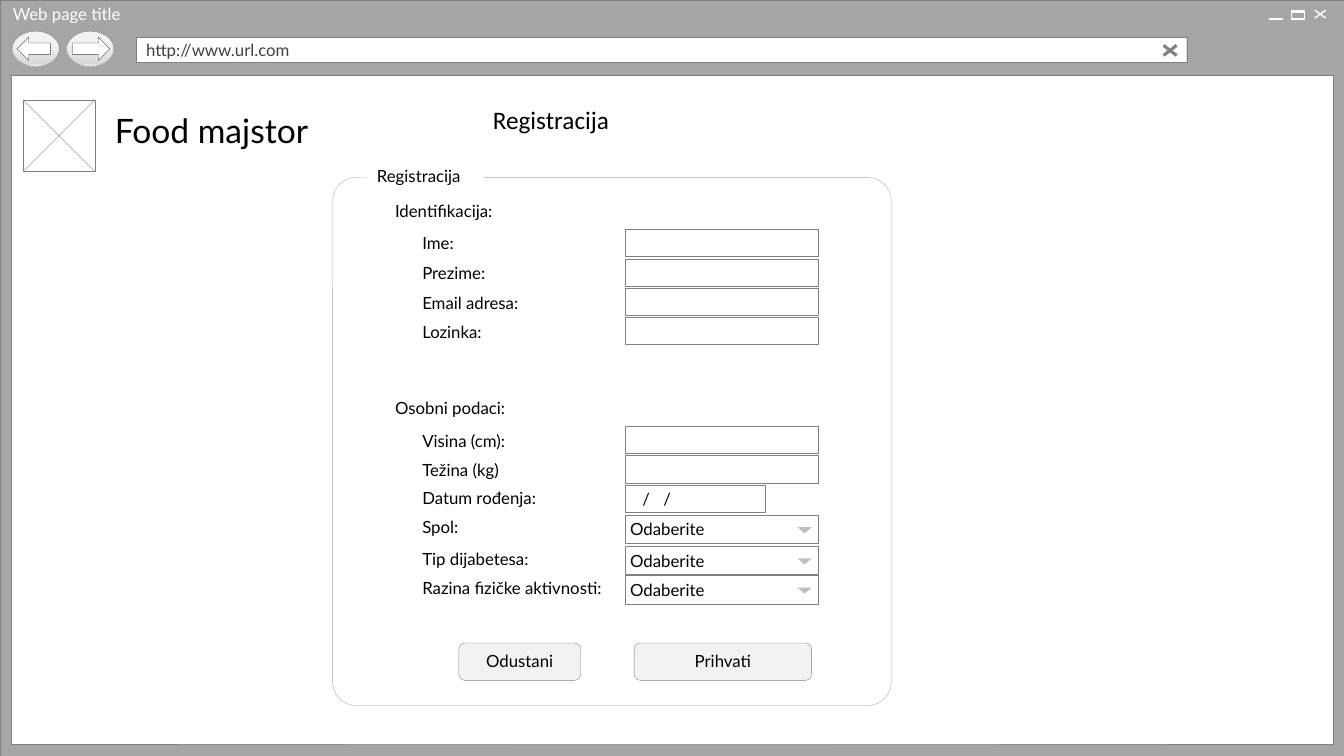
import copy
import lxml.etree
import pptx
import pptx.dml.color
import pptx.enum.shapes
import pptx.enum.text
import pptx.oxml.ns
import pptx.util

Inches = pptx.util.Inches
Pt = pptx.util.Pt
MSO = pptx.enum.shapes.MSO_SHAPE
ANCHOR = pptx.enum.text.MSO_ANCHOR
ALIGN = pptx.enum.text.PP_ALIGN
qn = pptx.oxml.ns.qn

COLORS = {
    "white": "FFFFFF", "black": "000000", "frame": "A6A6A6", "outline": "808080",
    "dark": "404040", "button": "F2F2F2", "shade": "D9D9D9", "marker": "BFBFBF",
    "control": "919191",
}
TIGHT = (0.1, 0.02, 0.1, 0.03)


def rgb(name):
    return pptx.dml.color.RGBColor.from_string(COLORS[name])


def write(sp, text, size=12, font="Lato", color="black", align=ALIGN.LEFT,
          anchor=ANCHOR.MIDDLE, insets=(0.1, 0.05, 0.1, 0.05), wrap=True, tab=None):
    tf = sp.text_frame
    tf.word_wrap = wrap
    tf.vertical_anchor = anchor
    tf.margin_left, tf.margin_top, tf.margin_right, tf.margin_bottom = map(Inches, insets)
    p = tf.paragraphs[0]
    p.alignment = align
    if tab:
        tabs = lxml.etree.SubElement(p._p.get_or_add_pPr(), qn("a:tabLst"))
        lxml.etree.SubElement(tabs, qn("a:tab"), pos=str(Inches(tab)), algn="l")
    r = p.add_run()
    r.text = text
    r.font.size = Pt(size)
    r.font.name = font
    r.font.color.rgb = rgb(color)


class Wireframe:
    def __init__(self, slide):
        self.slide = slide
        self.hairline = 0.25

    def shape(self, kind, x, y, w, h, fill="white", line="outline", width=None):
        sp = self.slide.shapes.add_shape(kind, Inches(x), Inches(y), Inches(w), Inches(h))
        sp.shadow.inherit = False
        if fill:
            sp.fill.solid()
            sp.fill.fore_color.rgb = rgb(fill)
        else:
            sp.fill.background()
        if line:
            sp.line.color.rgb = rgb(line)
            sp.line.width = Pt(width or self.hairline)
        else:
            sp.line.fill.background()
        return sp

    def text(self, text, x, y, w, h, **fmt):
        sp = self.slide.shapes.add_textbox(Inches(x), Inches(y), Inches(w), Inches(h))
        write(sp, text, **fmt)

    def label(self, text, x, y, w=1.59, h=0.25, **fmt):
        self.text(text, x, y, w, h, insets=TIGHT, **fmt)

    def line(self, x1, y1, x2, y2, color, width):
        ln = self.slide.shapes.add_connector(
            pptx.enum.shapes.MSO_CONNECTOR.STRAIGHT,
            Inches(x1), Inches(y1), Inches(x2), Inches(y2))
        ln.line.color.rgb = rgb(color)
        ln.line.width = Pt(width)
        lxml.etree.SubElement(ln._element.spPr, qn("a:effectLst"))

    def cross(self, x, y, w, h, color="outline", width=0.25):
        self.line(x, y, x + w, y + h, color, width)
        self.line(x, y + h, x + w, y, color, width)

    def nav_button(self, x, arrow, arrow_x, arrow_w):
        sp = self.shape(MSO.OVAL, x, 0.31, 0.47, 0.35)
        sp.fill.gradient()
        sp.fill.gradient_angle = 270
        stops = sp._element.spPr.find(".//" + qn("a:gsLst"))
        stops.append(copy.deepcopy(stops[-1]))
        levels = [(0.36, "button"), (0.91, "shade"), (1, "button")]
        for stop, (position, color) in zip(sp.fill.gradient_stops, levels):
            stop.position = position
            stop.color.rgb = rgb(color)
        self.shape(arrow, arrow_x, 0.37, arrow_w, 0.23, line="dark")

    def input(self, y):
        self.shape(MSO.RECTANGLE, 6.2, y, 1.92, 0.27)

    def date(self, y):
        sp = self.shape(MSO.RECTANGLE, 6.2, y, 1.39, 0.27)
        write(sp, "/\t/", insets=(0.17, 0, 0, 0), tab=0.21)

    def dropdown(self, y):
        sp = self.shape(MSO.RECTANGLE, 6.2, y, 1.92, 0.28)
        write(sp, "Odaberite", insets=(0.05,) * 4)
        marker = self.shape(MSO.ISOSCELES_TRIANGLE, 7.91, y + 0.12, 0.14, 0.06,
                            fill="marker", line=None)
        marker.rotation = 180

    def button(self, text, x, w):
        sp = self.shape(MSO.ROUNDED_RECTANGLE, x, 6.38, w, 0.37, fill="button")
        write(sp, text, align=ALIGN.CENTER, insets=(0.1, 0, 0.1, 0.01))

    def browser(self):
        self.shape(MSO.RECTANGLE, 0, 0, 13.33, 7.5, fill="frame")
        self.label("Web page title", 0.03, 0.02, 1.71, color="white", wrap=False)
        self.nav_button(0.12, MSO.LEFT_ARROW, 0.17, 0.33)
        self.nav_button(0.66, MSO.RIGHT_ARROW, 0.72, 0.37)
        self.cross(13.04, 0.1, 0.11, 0.08, "white", 1)
        for x, y in [(12.81, 0.11), (12.59, 0.18)]:
            self.shape(MSO.RECTANGLE, x, y, 0.13, 0.01, fill="control", line="white")
        self.shape(MSO.RECTANGLE, 12.81, 0.11, 0.13, 0.08, fill=None, line="white", width=1)
        self.shape(MSO.RECTANGLE, 0.11, 0.75, 13.11, 6.63)
        address = self.shape(MSO.RECTANGLE, 1.35, 0.37, 10.42, 0.25)
        write(address, "http://www.url.com", color="dark")
        self.cross(11.54, 0.45, 0.13, 0.1, width=2.25)

    def header(self):
        self.shape(MSO.RECTANGLE, 0.23, 0.99, 0.71, 0.71)
        self.cross(0.23, 0.99, 0.71, 0.71)
        self.label("Food majstor", 1.04, 1.07, 2.81, 0.45, size=24)
        self.text("Registracija", 4.79, 0.99, 6.14, 0.4, size=18, font="Calibri",
                  anchor=ANCHOR.TOP)

    def form(self):
        panel = self.shape(MSO.ROUNDED_RECTANGLE, 3.3, 1.76, 5.54, 5.24, line="frame")
        panel.adjustments[0] = 0.045
        legend = self.shape(MSO.RECTANGLE, 3.64, 1.6, 1.16, 0.3, line=None)
        write(legend, "Registracija", anchor=ANCHOR.TOP)
        self.label("Identifikacija:", 3.82, 1.97, 1.33)
        self.label("Osobni podaci:", 3.82, 3.93, 1.33)
        fields = [
            ("Ime:", 2.29, self.input, 2.27),
            ("Prezime:", 2.59, self.input, 2.57),
            ("Email adresa:", 2.88, self.input, 2.86),
            ("Lozinka:", 3.17, self.input, 3.15),
            ("Visina (cm):", 4.25, self.input, 4.23),
            ("Težina (kg)", 4.54, self.input, 4.52),
            ("Datum rođenja:", 4.82, self.date, 4.81),
            ("Spol:", 5.11, self.dropdown, 5.11),
            ("Tip dijabetesa:", 5.42, self.dropdown, 5.42),
            ("Razina fizičke aktivnosti:", 5.71, self.dropdown, 5.71),
        ]
        for name, label_y, control, control_y in fields:
            self.label(name, 4.09, label_y, 2.06)
            control(control_y)
        self.button("Odustani", 4.55, 1.21)
        self.button("Prihvati", 6.29, 1.76)


def main():
    prs = pptx.Presentation()
    prs.slide_width = Inches(13.33)
    prs.slide_height = Inches(7.5)
    s = prs.slides.add_slide(prs.slide_layouts[6])
    page = Wireframe(s)
    page.browser()
    page.header()
    page.form()
    prs.save("out.pptx")


if __name__ == "__main__":
    main()
